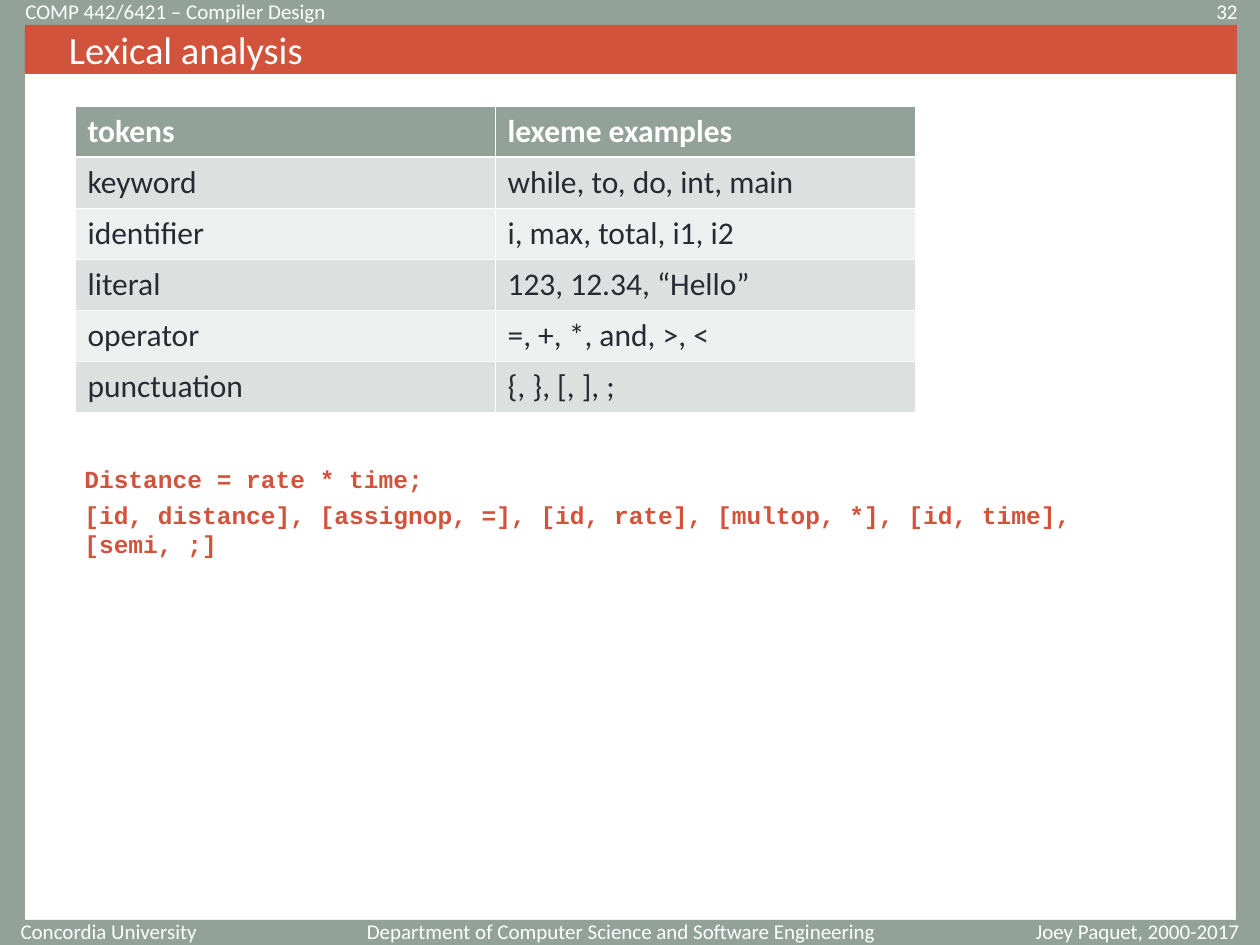
from lxml import etree
from pptx import Presentation
from pptx import util as u
from pptx.dml.color import RGBColor
from pptx.enum import shapes, text
from pptx.oxml.ns import qn

SCALE = 914400 / 126
SAGE, RUST, WHITE, INK = "93A299", "D2533C", "FFFFFF", "292934"
BANDS = ("EEF0EF", "DCE0DE")
LEXEMES = [
    ("tokens", "lexeme examples"),
    ("keyword", "while, to, do, int, main"),
    ("identifier", "i, max, total, i1, i2"),
    ("literal", "123, 12.34, “Hello”"),
    ("operator", "=, +, *, and, >, <"),
    ("punctuation", "{, }, [, ], ;"),
]


def px(*lengths):
    return [u.Emu(round(length * SCALE)) for length in lengths]


def color(value):
    return RGBColor.from_string(value)


def style(paragraph, size, value, font="Calibri", bold=False):
    for run in paragraph.runs:
        run.font.name = font
        run.font.size = u.Pt(size)
        run.font.bold = bold
        run.font.color.rgb = color(value)


def add_bar(slide, box, fill):
    bar = slide.shapes.add_shape(shapes.MSO_SHAPE.RECTANGLE, *px(*box))
    bar.shadow.inherit = False
    bar.fill.solid()
    bar.fill.fore_color.rgb = color(fill)
    bar.line.fill.background()
    return bar


def add_title(slide, box, wording):
    bar = add_bar(slide, box, RUST)
    frame = bar.text_frame
    frame.margin_left = px(44)[0]
    frame.vertical_anchor = text.MSO_ANCHOR.MIDDLE
    frame.text = wording
    frame.paragraphs[0].alignment = text.PP_ALIGN.LEFT
    style(frame.paragraphs[0], 22, WHITE)


def add_label(slide, box, wording, align):
    frame = slide.shapes.add_textbox(*px(*box)).text_frame
    frame.word_wrap = True
    frame.vertical_anchor = text.MSO_ANCHOR.MIDDLE
    frame.text = wording
    frame.paragraphs[0].alignment = align
    style(frame.paragraphs[0], 12, WHITE)


def add_code(slide, box, lines):
    frame = slide.shapes.add_textbox(*px(*box)).text_frame
    frame.word_wrap = True
    frame.text = "\n".join(lines)
    for index, paragraph in enumerate(frame.paragraphs):
        paragraph.space_before = u.Pt(3.5 if index else 0)
        style(paragraph, 14, RUST, "Courier New", True)


def set_borders(cell, widths):
    properties = cell._tc.get_or_add_tcPr()
    for index, (side, width) in enumerate(widths.items()):
        line = etree.Element(qn(f"a:ln{side}"), w=str(u.Pt(width)))
        fill = etree.SubElement(line, qn("a:solidFill"))
        etree.SubElement(fill, qn("a:srgbClr"), val=WHITE)
        properties.insert(index, line)


def add_lexeme_table(slide, box, rows):
    table = slide.shapes.add_table(len(rows), len(rows[0]), *px(*box)).table
    for r, row in enumerate(rows):
        for c, wording in enumerate(row):
            cell = table.cell(r, c)
            cell.fill.solid()
            cell.fill.fore_color.rgb = color(BANDS[r % 2] if r else SAGE)
            cell.text = wording
            style(cell.text_frame.paragraphs[0], 18, INK if r else WHITE, bold=r == 0)
            set_borders(cell, {"L": 0.45, "R": 0.45,
                               "T": 1.47 if r == 1 else 0.45,
                               "B": 1.47 if r == 0 else 0.45})


def main():
    deck = Presentation()
    deck.slide_width, deck.slide_height = px(1260, 945)
    slide = deck.slides.add_slide(deck.slide_layouts[6])
    left, center, right = text.PP_ALIGN.LEFT, text.PP_ALIGN.CENTER, text.PP_ALIGN.RIGHT

    for edge in ((0, 0, 1260, 25), (0, 920, 1260, 25),
                 (0, 0, 25, 937), (1236, 23, 24, 922)):
        add_bar(slide, edge, SAGE)
    add_label(slide, (4, 924, 210, 15), "Concordia University ", right)
    add_label(slide, (353, 924, 535, 15),
              "Department of Computer Science and Software Engineering", right)
    add_code(slide, (72, 458, 1080, 110), [
        "Distance = rate * time;",
        "[id, distance], [assignop, =], [id, rate], [multop, *], [id, time], [semi, ;]",
    ])
    add_title(slide, (25, 25, 1212, 49), "Lexical analysis")
    add_label(slide, (1007, 924, 261, 15), "Joey Paquet, 2000-2017", center)
    add_label(slide, (1102, 4, 148, 15), "32", right)
    add_label(slide, (13, 4, 706, 15), "COMP 442/6421 – Compiler Design", left)
    add_lexeme_table(slide, (75, 106, 840, 306), LEXEMES)
    deck.save("out.pptx")


if __name__ == "__main__":
    main()
